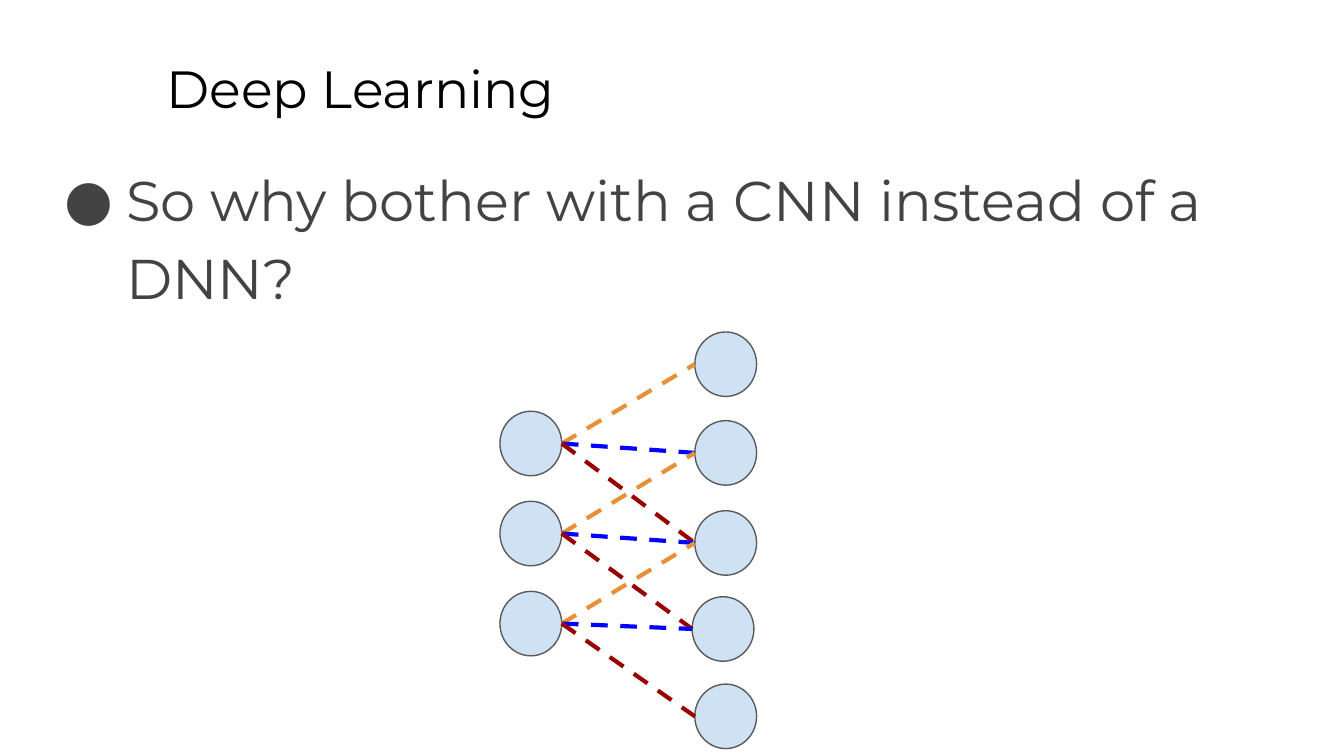
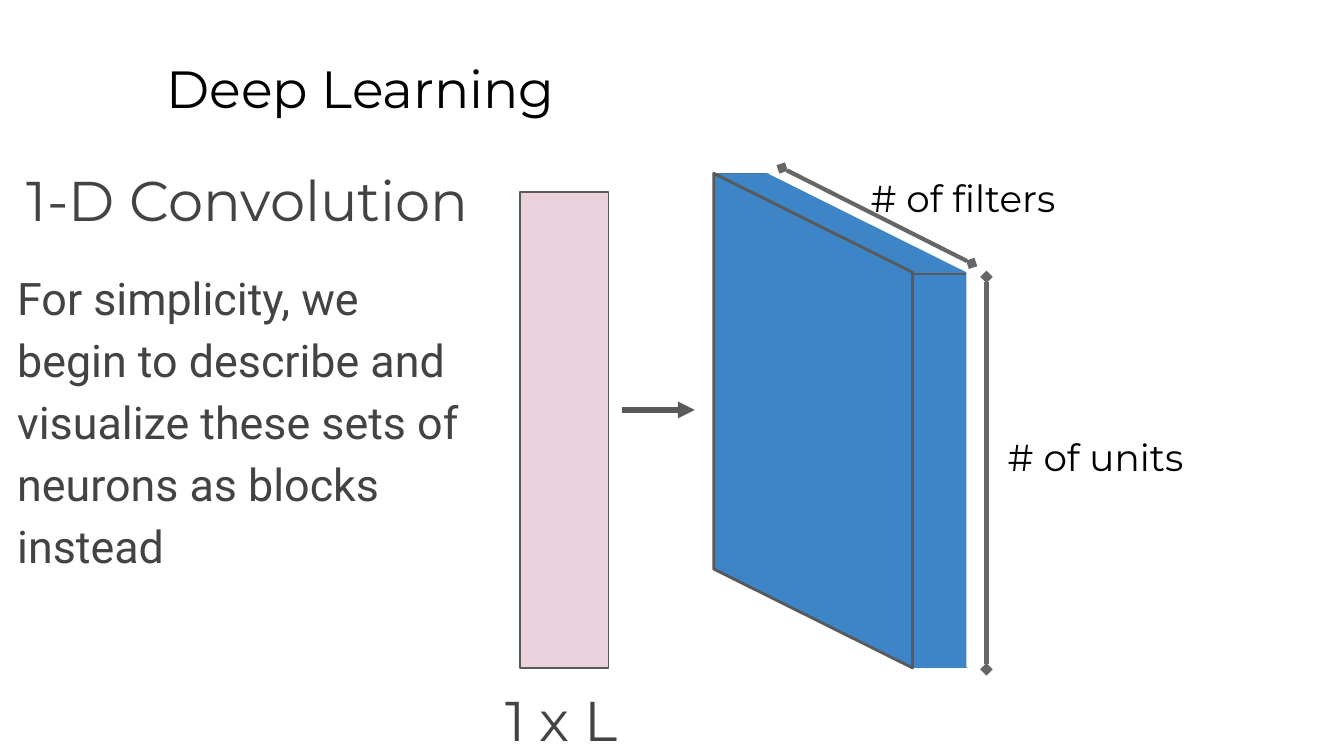
from dataclasses import dataclass

from lxml.etree import SubElement
from pptx import Presentation
from pptx.dml.color import RGBColor
from pptx.enum.dml import MSO_LINE
from pptx.enum.shapes import MSO_CONNECTOR, MSO_SHAPE
from pptx.enum.text import MSO_ANCHOR, MSO_AUTO_SIZE, PP_ALIGN
from pptx.oxml.ns import qn
from pptx.util import Inches, Pt

# Shared look
HEADING_FONT = "Montserrat"
BODY_FONT = "Roboto"
BLACK = "000000"
TEXT_GREY = "434343"
OUTLINE = "595959"
DIMENSION_GREY = "666666"
NEURON_FILL = "CFE2F3"
INPUT_FILL = "EAD1DC"
BLOCK_FILL = "3D85C6"
WEIGHT_COLORS = ("E69138", "0000FF", "980000")


@dataclass(frozen=True)
class Words:
    text: str
    size: float = 30
    font: str = HEADING_FONT
    color: str = TEXT_GREY
    align: PP_ALIGN = PP_ALIGN.LEFT
    line_spacing: float = 1.15
    before: float = 0
    after: float = 0
    bullet: str = ""


@dataclass(frozen=True)
class Box:
    left: float
    top: float
    width: float
    height: float

    def lengths(self) -> tuple:
        return tuple(Inches(v) for v in (self.left, self.top, self.width, self.height))


@dataclass(frozen=True)
class Line:
    start: tuple[float, float]
    end: tuple[float, float]
    color: str = OUTLINE
    width: float = 0.75
    dashed: bool = False
    head: str = ""
    tail: str = ""


@dataclass(frozen=True)
class Figure:
    kind: MSO_SHAPE
    box: Box
    fill: str
    outline: float = 0
    rotation: float = 0


def rgb(color: str) -> RGBColor:
    return RGBColor.from_string(color)


def add_bullet(para, words: Words) -> None:
    properties = para._p.get_or_add_pPr()
    properties.set("marL", str(Inches(0.5)))
    properties.set("indent", str(Inches(-0.46)))
    color = SubElement(properties, qn("a:buClr"))
    SubElement(color, qn("a:srgbClr")).set("val", words.color)
    SubElement(properties, qn("a:buFont")).set("typeface", words.font)
    SubElement(properties, qn("a:buChar")).set("char", words.bullet)


def write(shape, *paragraphs: Words) -> None:
    frame = shape.text_frame
    frame.word_wrap = True
    frame.auto_size = MSO_AUTO_SIZE.NONE
    frame.vertical_anchor = MSO_ANCHOR.TOP
    frame.margin_left = frame.margin_right = Inches(0.1)
    frame.margin_top = frame.margin_bottom = Inches(0.1)
    frame.text = "\n".join(words.text for words in paragraphs)
    for para, words in zip(frame.paragraphs, paragraphs):
        para.alignment = words.align
        para.line_spacing = words.line_spacing
        para.space_before = Pt(words.before)
        para.space_after = Pt(words.after)
        if words.bullet:
            add_bullet(para, words)
        for span in para.runs:
            span.font.size = Pt(words.size)
            span.font.name = words.font
            span.font.color.rgb = rgb(words.color)


def add_text(page, box: Box, *paragraphs: Words) -> None:
    write(page.shapes.add_textbox(*box.lengths()), *paragraphs)


def add_figure(page, figure: Figure) -> None:
    shape = page.shapes.add_shape(figure.kind, *figure.box.lengths())
    shape.shadow.inherit = False
    shape.rotation = figure.rotation
    shape.fill.solid()
    shape.fill.fore_color.rgb = rgb(figure.fill)
    if figure.outline:
        shape.line.color.rgb = rgb(OUTLINE)
        shape.line.width = Pt(figure.outline)
    else:
        shape.line.fill.background()


def add_line(page, line: Line) -> None:
    ends = (Inches(v) for v in (*line.start, *line.end))
    connector = page.shapes.add_connector(MSO_CONNECTOR.STRAIGHT, *ends)
    connector.line.color.rgb = rgb(line.color)
    connector.line.width = Pt(line.width)
    if line.dashed:
        connector.line.dash_style = MSO_LINE.DASH
    properties = connector._element.spPr
    for tag, kind in (("a:headEnd", line.head), ("a:tailEnd", line.tail)):
        if kind:
            SubElement(properties.find(qn("a:ln")), qn(tag)).set("type", kind)
    SubElement(properties, qn("a:effectLst"))


def add_page(deck):
    page = deck.slides.add_slide(deck.slide_layouts[5])
    title = page.shapes.title
    title.left, title.top, title.width, title.height = Box(1.14, 0.32, 8.52, 0.63).lengths()
    write(title, Words("Deep Learning", 28, color=BLACK, line_spacing=1))
    return page


def build_network(deck) -> None:
    page = add_page(deck)
    add_text(page, Box(0.34, 1.06, 9.32, 0.68),
             Words("So why bother with a CNN instead of a DNN?", bullet="●"))

    # Two layers of neurons
    width, height = 0.46, 0.48
    inputs = [(3.72, 3.06 + 0.67 * row) for row in range(3)]
    outputs = [(5.17, 2.47), (5.17, 3.13), (5.17, 3.8), (5.15, 4.44), (5.17, 5.09)]
    for left, top in inputs + outputs:
        add_figure(page, Figure(MSO_SHAPE.OVAL, Box(left, top, width, height),
                                NEURON_FILL, 0.75))

    # Each input feeds three neighbouring outputs through shared weights
    for row, (left, top) in enumerate(inputs):
        start = (left + width, top + height / 2)
        for offset, color in enumerate(WEIGHT_COLORS):
            out_left, out_top = outputs[row + offset]
            add_line(page, Line(start, (out_left, out_top + height / 2), color, 2.25, dashed=True))


def build_block(deck) -> None:
    page = add_page(deck)
    add_text(page, Box(0.03, 1.06, 3.63, 4.09),
             Words("1-D Convolution", align=PP_ALIGN.CENTER),
             Words("For simplicity, we begin to describe and visualize these sets of "
                   "neurons as blocks instead", 24, BODY_FONT, before=16, after=16))

    # Input column and arrow to the block
    add_figure(page, Figure(MSO_SHAPE.RECTANGLE, Box(3.87, 1.43, 0.66, 3.54), INPUT_FILL, 0.75))
    add_text(page, Box(3.66, 4.93, 1.15, 0.63), Words("1 x L", after=16))
    add_line(page, Line((5.17, 3.05), (4.63, 3.05), width=3, head="triangle"))

    # Block: back face, joining edges, corner fillers, front face
    face = MSO_SHAPE.FLOWCHART_DATA
    corner = MSO_SHAPE.RIGHT_TRIANGLE
    add_figure(page, Figure(face, Box(4.61, 2.39, 3.68, 1.48), BLOCK_FILL, rotation=90))
    for left, top in ((5.31, 1.29), (6.79, 2.04)):
        add_line(page, Line((left, top), (left + 0.4, top)))
    add_figure(page, Figure(corner, Box(6.79, 4.77, 0.41, 0.2), BLOCK_FILL))
    add_figure(page, Figure(corner, Box(5.32, 1.29, 0.4, 0.21), BLOCK_FILL, rotation=180))
    add_figure(page, Figure(face, Box(4.21, 2.39, 3.68, 1.48), BLOCK_FILL, 1.5, 90))

    # Dimension lines with labels
    dimensions = (
        ("# of filters", (7.23, 1.96), (5.82, 1.25), (6.38, 1.2)),
        ("# of units", (7.34, 4.98), (7.34, 2.06), (7.4, 3.13)),
    )
    for label, start, end, label_at in dimensions:
        add_line(page, Line(start, end, DIMENSION_GREY, 2.25, head="diamond", tail="diamond"))
        add_text(page, Box(*label_at, 1.63, 0.39),
                 Words(label, 20, color=BLACK, line_spacing=1))


def main() -> None:
    deck = Presentation()
    # Widescreen, 16 to 9
    deck.slide_width = Inches(10)
    deck.slide_height = Inches(10 * 9 / 16)
    build_network(deck)
    build_block(deck)
    deck.save("out.pptx")


if __name__ == "__main__":
    main()
